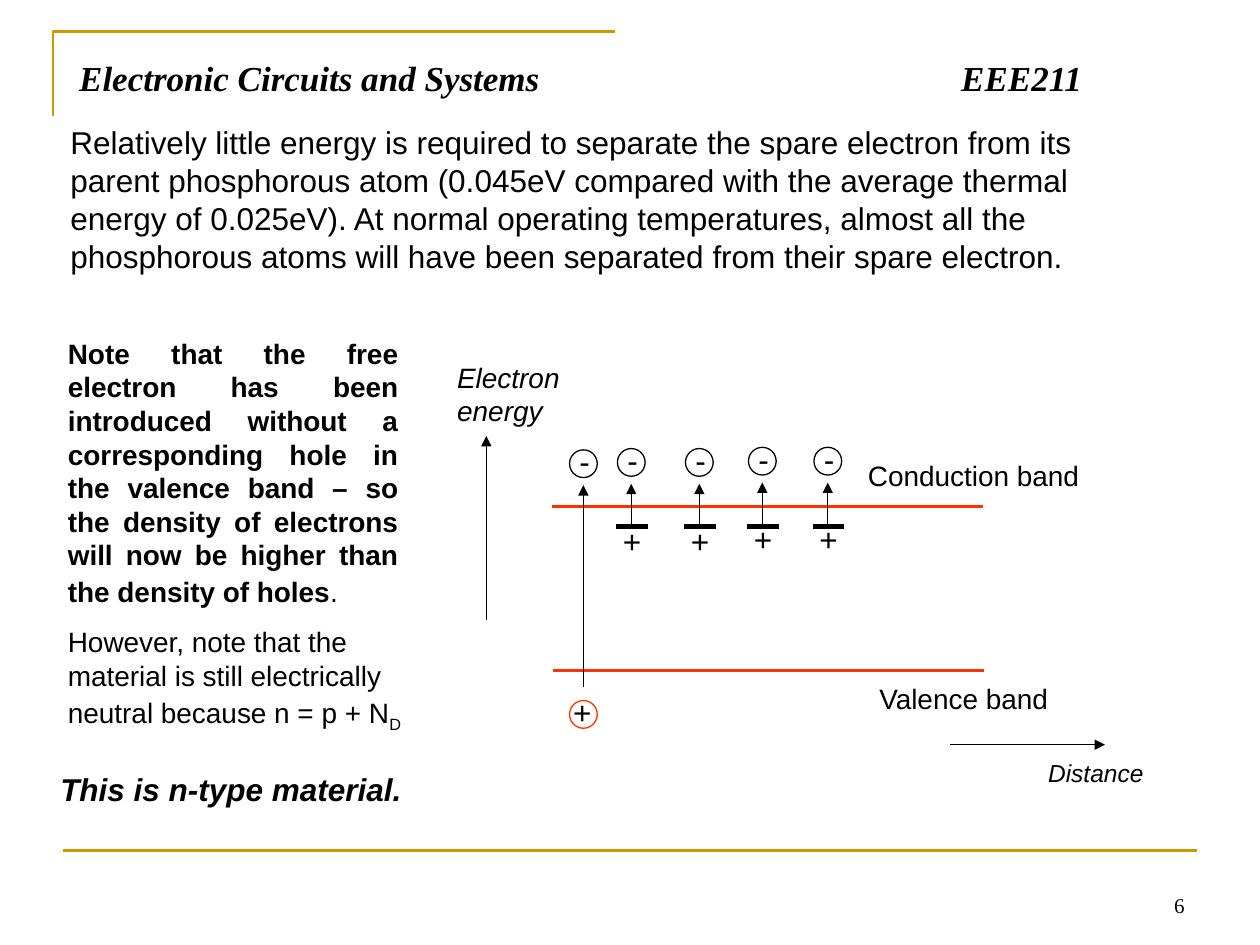
from dataclasses import dataclass

from lxml import etree
from pptx import Presentation
from pptx import util as u
from pptx.dml.color import RGBColor
from pptx.enum import shapes, text
from pptx.oxml.ns import qn

BLACK = RGBColor(0x00, 0x00, 0x00)
GOLD = RGBColor(0xCC, 0x99, 0x00)
RED = RGBColor(0xFF, 0x33, 0x00)

SLIDE_WIDTH, SLIDE_HEIGHT = u.Inches(10), u.Inches(7.5)
COLUMNS, ROWS = 100, 75
CIRCLE = 2.2
LEFT, RIGHT, JUSTIFY = text.PP_ALIGN.LEFT, text.PP_ALIGN.RIGHT, text.PP_ALIGN.JUSTIFY


@dataclass(frozen=True)
class Span:
    text: str
    bold: bool | None = None
    size: float | None = None
    baseline: int | None = None


@dataclass(frozen=True)
class Label:
    column: float
    row: float
    columns: float
    rows: float
    spans: tuple[Span, ...]
    size: float = 16
    bold: bool = False
    italic: bool = False
    font: str = "Arial"
    align: text.PP_ALIGN = LEFT
    anchor: text.MSO_ANCHOR = text.MSO_ANCHOR.TOP
    tab_columns: float | None = None


@dataclass(frozen=True)
class Stroke:
    start: tuple[float, float]
    end: tuple[float, float]
    color: RGBColor = BLACK
    weight: float = 0.75
    arrow: bool = False


@dataclass(frozen=True)
class Donor:
    center: float
    lift: float = 0


LABELS = (
    Label(71.7, 68.3, 23.3, 5, (Span("6"),), size=12, font="Times New Roman",
          align=RIGHT, anchor=text.MSO_ANCHOR.BOTTOM),
    Label(5.3, 4, 89.2, 6.1, (Span("Electronic Circuits and Systems\tEEE211"),), size=20,
          bold=True, italic=True, font="Times New Roman", tab_columns=70),
    Label(4.6, 9.3, 87.3, 13, (Span(
        "Relatively little energy is required to separate the spare electron from its "
        "parent phosphorous atom (0.045eV compared with the average thermal energy of "
        "0.025eV). At normal operating temperatures, almost all the phosphorous atoms "
        "will have been separated from their spare electron."),), size=18),
    Label(3.8, 60.6, 35.8, 4, (Span("This is n-type material."),),
          size=18, bold=True, italic=True),
    Label(35.3, 28.1, 11.5, 6.4, (Span("Electron energy"),), italic=True),
    Label(67.9, 35.9, 22.3, 3.7, (Span("Conduction band"),)),
    Label(68.8, 53.6, 18.1, 3.7, (Span("Valence band"),)),
    Label(82.2, 59.7, 14.4, 3.3, (Span("Distance"),), size=14, italic=True),
    Label(4.4, 26.2, 28.2, 22.9, (
        Span("Note that the free electron has been introduced without a corresponding "
             "hole in the valence band – so the density of electrons will now be higher "
             "than the density of holes", bold=True),
        Span("."),
        Span(" ", size=18)), align=JUSTIFY),
    Label(4.4, 49.1, 31.1, 9.4, (
        Span("However, note that the material is still electrically neutral because "
             "n = p + N"),
        Span("D", baseline=-25000),
        Span(" ", size=18))),
)

STROKES = (
    Stroke((5, 67.5), (95, 67.5), GOLD, 1.5),
    Stroke((78, 40.2), (43.8, 40.2), RED, 1.5),
    Stroke((78.1, 53.2), (43.9, 53.2), RED, 1.5),
    Stroke((75.4, 59.1), (87.7, 59.1), arrow=True),
    Stroke((38.6, 49.2), (38.6, 34.6), arrow=True),
    Stroke((46.3, 54.5), (46.3, 38.5), arrow=True),
)

DONORS = (Donor(50.1), Donor(55.5), Donor(60.5, 0.1), Donor(65.7, 0.1))


def across(columns: float) -> int:
    return round(SLIDE_WIDTH * columns / COLUMNS)


def down(rows: float) -> int:
    return round(SLIDE_HEIGHT * rows / ROWS)


def draw_label(page, label: Label) -> None:
    box = page.shapes.add_textbox(across(label.column), down(label.row),
                                  across(label.columns), down(label.rows))
    frame = box.text_frame
    frame.word_wrap = True
    frame.vertical_anchor = label.anchor
    para = frame.paragraphs[0]
    para.alignment = label.align
    para.font.name = label.font
    para.font.size = u.Pt(label.size)
    para.font.bold = label.bold
    para.font.italic = label.italic
    para.font.color.rgb = BLACK
    if label.tab_columns is not None:
        tabs = etree.Element(qn("a:tabLst"))
        etree.SubElement(tabs, qn("a:tab"), pos=str(across(label.tab_columns)), algn="l")
        para.font._element.addprevious(tabs)
    for span in label.spans:
        run = para.add_run()
        run.text = span.text
        if span.bold is not None:
            run.font.bold = span.bold
        if span.size is not None:
            run.font.size = u.Pt(span.size)
        if span.baseline is not None:
            run.font._element.set("baseline", str(span.baseline))


def draw_stroke(page, stroke: Stroke) -> None:
    line = page.shapes.add_connector(
        shapes.MSO_CONNECTOR.STRAIGHT,
        across(stroke.start[0]), down(stroke.start[1]),
        across(stroke.end[0]), down(stroke.end[1]))
    line.line.color.rgb = stroke.color
    line.line.width = u.Pt(stroke.weight)
    if stroke.arrow:
        etree.SubElement(line.line._get_or_add_ln(), qn("a:tailEnd"), type="triangle")
    etree.SubElement(line._element.spPr, qn("a:effectLst"))


def outline(shape, color: RGBColor, weight: float) -> None:
    shape.shadow.inherit = False
    shape.fill.background()
    shape.line.color.rgb = color
    shape.line.width = u.Pt(weight)


def draw_charge(page, sign: str, center: float, row: float, color: RGBColor) -> None:
    circle = page.shapes.add_shape(
        shapes.MSO_SHAPE.OVAL, across(center - CIRCLE / 2), down(row),
        across(CIRCLE), down(CIRCLE))
    outline(circle, color, 0.75)
    draw_symbol(page, sign, center - 1.3 if sign == "-" else center - 1.8, row - 1.1)


def draw_symbol(page, sign: str, column: float, row: float) -> None:
    draw_label(page, Label(column, row, 3.5, 4, (Span(sign),), size=18))


def draw_donor(page, donor: Donor) -> None:
    center, lift = donor.center, donor.lift
    draw_stroke(page, Stroke((center, 41.7 - lift), (center, 38.4 - lift), arrow=True))
    draw_charge(page, "-", center, 35.6 - lift, BLACK)
    draw_stroke(page, Stroke((center + 1.3, 41.8), (center - 1.2, 41.8), weight=3))
    draw_symbol(page, "+", center - 1.65, 40.9 - lift)


def draw_corner(page) -> None:
    builder = page.shapes.build_freeform(across(4.2), down(9.2))
    builder.add_line_segments(
        ((across(4.2), down(2.5)), (across(48.8), down(2.5))), close=False)
    outline(builder.convert_to_shape(), GOLD, 1.5)


def main() -> None:
    deck = Presentation()
    deck.slide_width, deck.slide_height = SLIDE_WIDTH, SLIDE_HEIGHT
    page = deck.slides.add_slide(deck.slide_layouts[6])
    draw_corner(page)
    for stroke in STROKES:
        draw_stroke(page, stroke)
    for label in LABELS:
        draw_label(page, label)
    for donor in DONORS:
        draw_donor(page, donor)
    draw_charge(page, "-", 46.3, 35.7, BLACK)
    draw_charge(page, "+", 46.3, 55.6, RED)
    deck.save("out.pptx")


if __name__ == "__main__":
    main()
